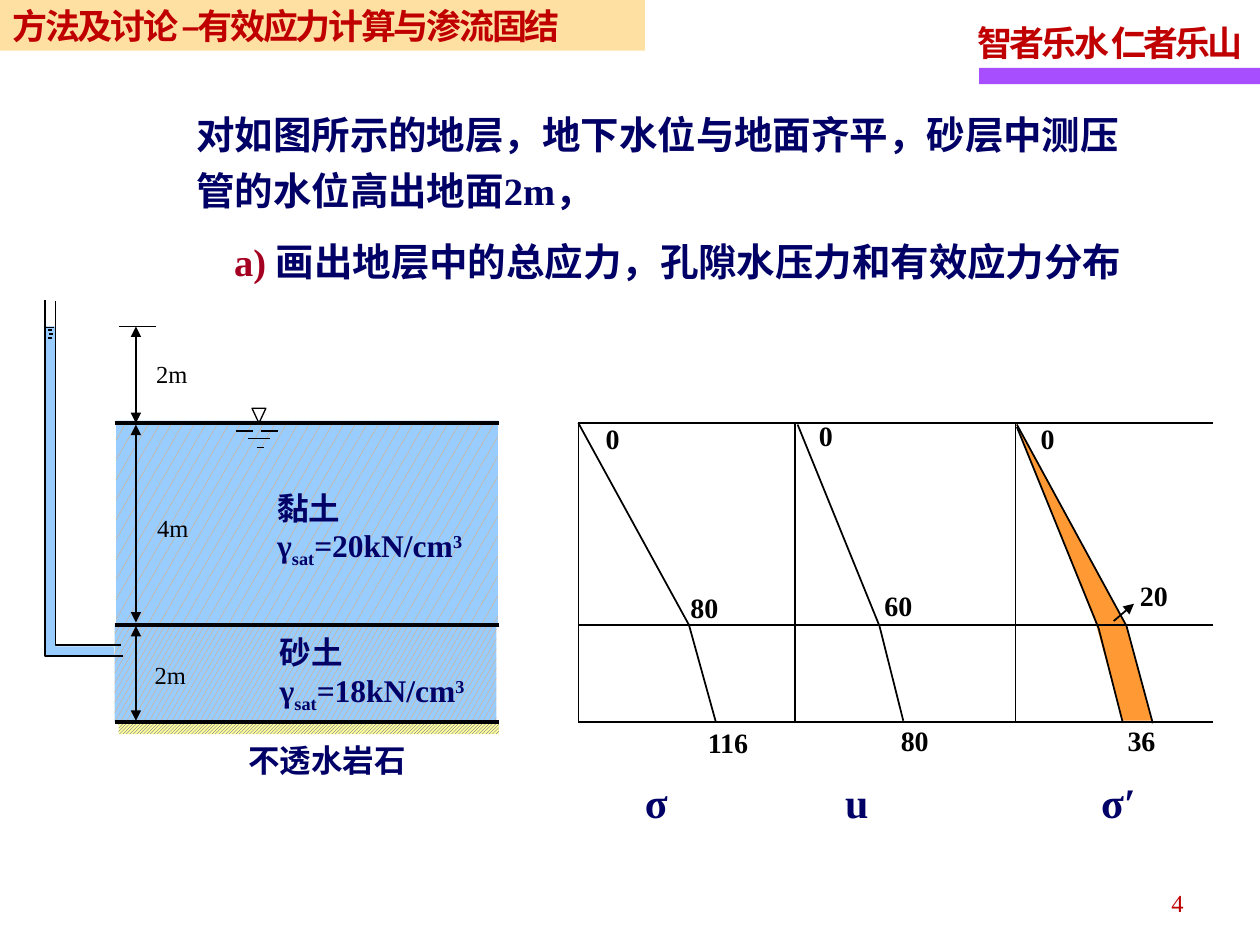
from dataclasses import dataclass

import lxml.etree
import pptx
import pptx.dml.color
import pptx.enum.dml
import pptx.enum.shapes
import pptx.enum.text
import pptx.oxml.ns
import pptx.util

Cm, Pt = pptx.util.Cm, pptx.util.Pt
ALIGN = pptx.enum.text.PP_ALIGN
PRESET = pptx.enum.shapes.MSO_SHAPE
PATTERN = pptx.enum.dml.MSO_PATTERN
qn = pptx.oxml.ns.qn

COLORS = {
    "black": "000000", "navy": "000066", "red": "C00000", "crimson": "A50021",
    "purple": "A74FFF", "gold": "FFCC66", "water": "99CCFF", "orange": "FF9933",
    "rock": "FFFF99", "hatch": "333399",
}
LATIN, CJK = "Times New Roman", "Noto Sans CJK SC"

# Depths shared by the soil profile and the stress diagrams, in cm
PIPE_HEAD, GROUND, INTERFACE, BEDROCK = 6.58, 8.53, 12.6, 14.55
DIMENSION_X = 2.74


@dataclass
class Run:
    text: str
    color: str = ""
    baseline: int = 0


@dataclass
class Style:
    size: float
    color: str = "black"
    bold: bool = True
    line_spacing: float = 1.0
    inset: tuple[float, float] = (0.25, 0.13)
    align: ALIGN = ALIGN.LEFT
    tracking: int = 0
    font: str = LATIN


@dataclass
class Label:
    text: str
    left: float
    top: float
    width: float
    height: float
    style: Style


@dataclass
class Stroke:
    start: tuple[float, float]
    end: tuple[float, float]
    width: float = 1
    head: bool = False
    tail: bool = False


@dataclass
class Block:
    box: tuple[float, float, float, float]
    fill: str
    pattern: PATTERN | None = None
    ink: str = "orange"


@dataclass
class Outline:
    points: list[tuple[float, float]]
    fill: str = ""


DIMENSION = Style(14, bold=False, line_spacing=1.15)
VALUE = Style(16, line_spacing=1.15)
SYMBOL = Style(24, "navy", line_spacing=1.2)
SOIL = Style(18, "navy", inset=(0.23, 0.1))
QUESTION = Style(22, "navy", line_spacing=1.2)
MOTTO = Style(20, "red", line_spacing=1.15, tracking=-170)
PAGE = Style(14, "red", False, 1.15, align=ALIGN.RIGHT)
HEADING = Style(20, "red", tracking=-140, font=CJK)


def rgb(name: str) -> pptx.dml.color.RGBColor:
    return pptx.dml.color.RGBColor.from_string(COLORS[name])


def write(frame, paragraphs: list[list[Run]], style: Style, wrap: bool) -> None:
    side, edge = map(Cm, style.inset)
    frame_format = {
        "word_wrap": wrap, "auto_size": pptx.enum.text.MSO_AUTO_SIZE.NONE,
        "margin_left": side, "margin_right": side,
        "margin_top": edge, "margin_bottom": edge,
    }
    for key, value in frame_format.items():
        setattr(frame, key, value)
    for index, runs in enumerate(paragraphs):
        paragraph = frame.paragraphs[0] if index == 0 else frame.add_paragraph()
        paragraph.alignment = style.align
        paragraph.line_spacing = style.line_spacing
        for part in runs:
            run = paragraph.add_run()
            run.text = part.text
            font_format = {"size": Pt(style.size), "bold": style.bold, "name": style.font}
            for key, value in font_format.items():
                setattr(run.font, key, value)
            run.font.color.rgb = rgb(part.color or style.color)
            properties = run._r.get_or_add_rPr()
            lxml.etree.SubElement(properties, qn("a:ea")).set("typeface", CJK)
            for key, value in {"baseline": part.baseline, "spc": style.tracking}.items():
                if value:
                    properties.set(key, str(value))


def add_text(shapes, box, paragraphs: list[list[Run]], style: Style, wrap: bool = False):
    frame = shapes.add_textbox(*map(Cm, box)).text_frame
    write(frame, paragraphs, style, wrap)
    return frame


def add_label(shapes, label: Label) -> None:
    box = (label.left, label.top, label.width, label.height)
    add_text(shapes, box, [[Run(label.text)]], label.style)


def add_stroke(shapes, stroke: Stroke) -> None:
    line = shapes.add_connector(pptx.enum.shapes.MSO_CONNECTOR.STRAIGHT,
                                *map(Cm, stroke.start + stroke.end))
    line.line.color.rgb = rgb("black")
    line.line.width = Pt(stroke.width)
    for tag, shown in {"a:headEnd": stroke.head, "a:tailEnd": stroke.tail}.items():
        if shown:
            lxml.etree.SubElement(line.line._get_or_add_ln(), qn(tag)).set("type", "triangle")
    lxml.etree.SubElement(line._element.spPr, qn("a:effectLst"))


def add_block(shapes, block: Block) -> None:
    shape = shapes.add_shape(PRESET.RECTANGLE, *map(Cm, block.box))
    shape.shadow.inherit = False
    shape.line.fill.background()
    if block.pattern is None:
        shape.fill.solid()
        shape.fill.fore_color.rgb = rgb(block.fill)
    else:
        shape.fill.patterned()
        shape.fill.pattern = block.pattern
        shape.fill.fore_color.rgb = rgb(block.ink)
        shape.fill.back_color.rgb = rgb(block.fill)


def add_outline(shapes, outline: Outline) -> None:
    """Draw a filled area without a border, or an open black polyline."""
    points = [(Cm(x), Cm(y)) for x, y in outline.points]
    builder = shapes.build_freeform(*points[0], scale=1.0)
    builder.add_line_segments(points[1:], close=bool(outline.fill))
    shape = builder.convert_to_shape()
    shape.shadow.inherit = False
    if outline.fill:
        shape.fill.solid()
        shape.fill.fore_color.rgb = rgb(outline.fill)
        shape.line.fill.background()
    else:
        shape.fill.background()
        shape.line.color.rgb = rgb("black")
        shape.line.width = Pt(1)


def add_heading(shapes) -> None:
    heading = shapes.title
    for key, value in {"left": 0, "top": 0, "width": 13, "height": 1.02}.items():
        setattr(heading, key, Cm(value))
    heading.fill.solid()
    heading.fill.fore_color.rgb = rgb("gold")
    color = heading._element.spPr.find(".//" + qn("a:srgbClr"))
    lxml.etree.SubElement(color, qn("a:alpha")).set("val", "60000")
    heading.text_frame.vertical_anchor = pptx.enum.text.MSO_ANCHOR.MIDDLE
    write(heading.text_frame, [[Run("方法及讨论 –有效应力计算与渗流固结")]], HEADING, True)


def add_soil_profile(shapes) -> None:
    add_outline(shapes, Outline([(2.29, 13.03), (1.12, 13.03), (1.12, PIPE_HEAD),
                                 (0.91, PIPE_HEAD), (0.91, 13.23), (2.31, 13.23)], "water"))
    for block in (
        Block((2.31, INTERFACE, 7.7, 1.96), "water", PATTERN.LARGE_CONFETTI),
        Block((2.34, 8.48, 7.7, 4.11), "water", PATTERN.SMALL_CONFETTI),
        Block((2.39, BEDROCK, 7.67, 0.25), "rock", PATTERN.LIGHT_UPWARD_DIAGONAL, "hatch"),
    ):
        add_block(shapes, block)
    for depth in (GROUND, INTERFACE, BEDROCK):
        add_stroke(shapes, Stroke((2.31, depth), (10.06, depth), 2.25))
    add_outline(shapes, Outline([(2.44, 13.0), (1.12, 13.0), (1.12, 6.07)]))
    add_outline(shapes, Outline([(2.49, 13.23), (0.91, 13.23), (0.91, 6.05)]))

    water_mark = shapes.add_shape(PRESET.ISOSCELES_TRIANGLE, *map(Cm, (5.08, 8.23, 0.28, 0.3)))
    water_mark.rotation = 180
    water_mark.shadow.inherit = False
    water_mark.fill.background()
    water_mark.line.color.rgb = rgb("black")
    water_mark.line.width = Pt(0.75)
    for left, right, y in ((4.75, 5.11, 8.69), (5.26, 5.61, 8.69),
                           (5.0, 5.44, 8.84), (5.18, 5.33, 9.02)):
        add_stroke(shapes, Stroke((left, y), (right, y), 0.75))
    for left, right, y in ((2.39, 3.15, PIPE_HEAD), (0.91, 1.09, 6.6), (0.97, 1.04, 6.65),
                           (0.99, 1.07, 6.73), (0.97, 1.04, 6.81)):
        add_stroke(shapes, Stroke((left, y), (right, y)))

    for bottom, top in ((GROUND, PIPE_HEAD), (12.55, 8.56), (14.53, 12.62)):
        add_stroke(shapes, Stroke((DIMENSION_X, bottom), (DIMENSION_X, top), head=True, tail=True))
    for text, left, top in (("2m", 2.9, 7.01), ("4m", 2.92, 10.13), ("2m", 2.87, 13.08)):
        add_label(shapes, Label(text, left, top, 1.14, 0.94, DIMENSION))
    for soil, weight, left, top in (("黏土", 20, 5.36, 9.75), ("砂土", 18, 5.41, 12.67)):
        formula = [Run("γ"), Run("sat", baseline=-25000), Run(f"={weight}kN/cm"),
                   Run("3", baseline=30000)]
        add_text(shapes, (left, top, 4.27, 1.77), [[Run(soil)], formula], SOIL)
    add_label(shapes, Label("不透水岩石", 4.78, 14.83, 3.66, 0.99, SOIL))


def add_stress_diagrams(shapes) -> None:
    for outline in (
        Outline([(23.22, 14.53), (22.71, INTERFACE), (20.47, 8.51),
                 (22.1, INTERFACE), (22.63, 14.53)], "orange"),
        Outline([(11.66, GROUND), (13.89, INTERFACE), (14.43, BEDROCK)]),
        Outline([(16.08, 8.56), (17.73, 12.62), (18.21, 14.53)]),
        Outline([(20.5, 8.56), (22.71, 12.62), (23.24, 14.58)]),
        Outline([(20.5, 8.61), (22.15, 12.67), (22.63, BEDROCK)]),
    ):
        add_outline(shapes, outline)
    for axis in (11.66, 16.03, 20.47):
        add_stroke(shapes, Stroke((axis, GROUND), (axis, BEDROCK)))
    for depth in (GROUND, INTERFACE, BEDROCK):
        add_stroke(shapes, Stroke((11.66, depth), (24.46, depth)))
    add_stroke(shapes, Stroke((22.45, 12.52), (22.86, 12.17), tail=True))
    for text, left, top in (
        ("0", 11.96, 8.26), ("80", 13.67, 11.68), ("116", 14.02, 14.4),
        ("0", 16.26, 8.2), ("60", 17.58, 11.63), ("80", 17.91, 14.35),
        ("0", 20.73, 8.26), ("20", 22.73, 11.43), ("36", 22.48, 14.35),
    ):
        add_label(shapes, Label(text, left, top, 0.51 + 0.28 * len(text), 1.04, VALUE))
    for text, left, width in (("σ", 12.75, 0.97), ("u", 16.79, 0.97), ("σ′", 21.95, 1.17)):
        add_label(shapes, Label(text, left, 15.32, width, 1.5, SYMBOL))


def add_question(shapes) -> None:
    stem = [Run("对如图所示的地层，地下水位与地面齐平，砂层中测压管的水位高出地面2m，")]
    task = [Run("a) ", "crimson"), Run("画出地层中的总应力，孔隙水压力和有效应力分布")]
    frame = add_text(shapes, (3.71, 1.93, 19.69, 4.01), [stem, task], QUESTION, True)
    item = frame.paragraphs[1]
    item.level = 1
    item.space_before = Pt(9)
    item._p.get_or_add_pPr().set("marL", str(Cm(0.76)))


def main() -> None:
    deck = pptx.Presentation()
    deck.slide_width, deck.slide_height = Cm(25.4), Cm(19.05)
    shapes = deck.slides.add_slide(deck.slide_layouts[5]).shapes
    add_heading(shapes)
    add_block(shapes, Block((19.74, 1.37, 5.66, 0.33), "purple"))
    add_label(shapes, Label("智者乐水 仁者乐山", 19.46, 0.18, 5.99, 1.24, MOTTO))
    add_text(shapes, (18.19, 17.68, 5.92, 1.02), [[Run("4")]], PAGE, True)
    add_soil_profile(shapes)
    add_stress_diagrams(shapes)
    add_question(shapes)
    deck.save("out.pptx")


if __name__ == "__main__":
    main()
